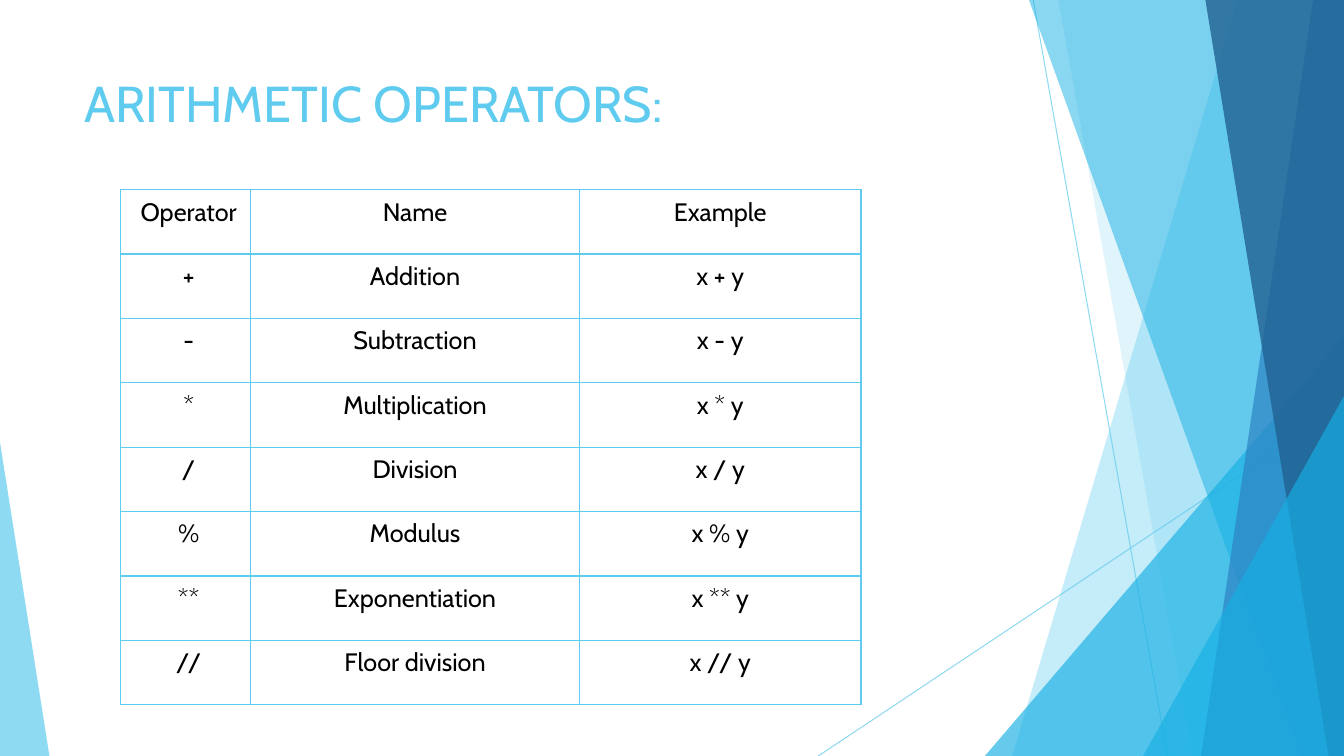
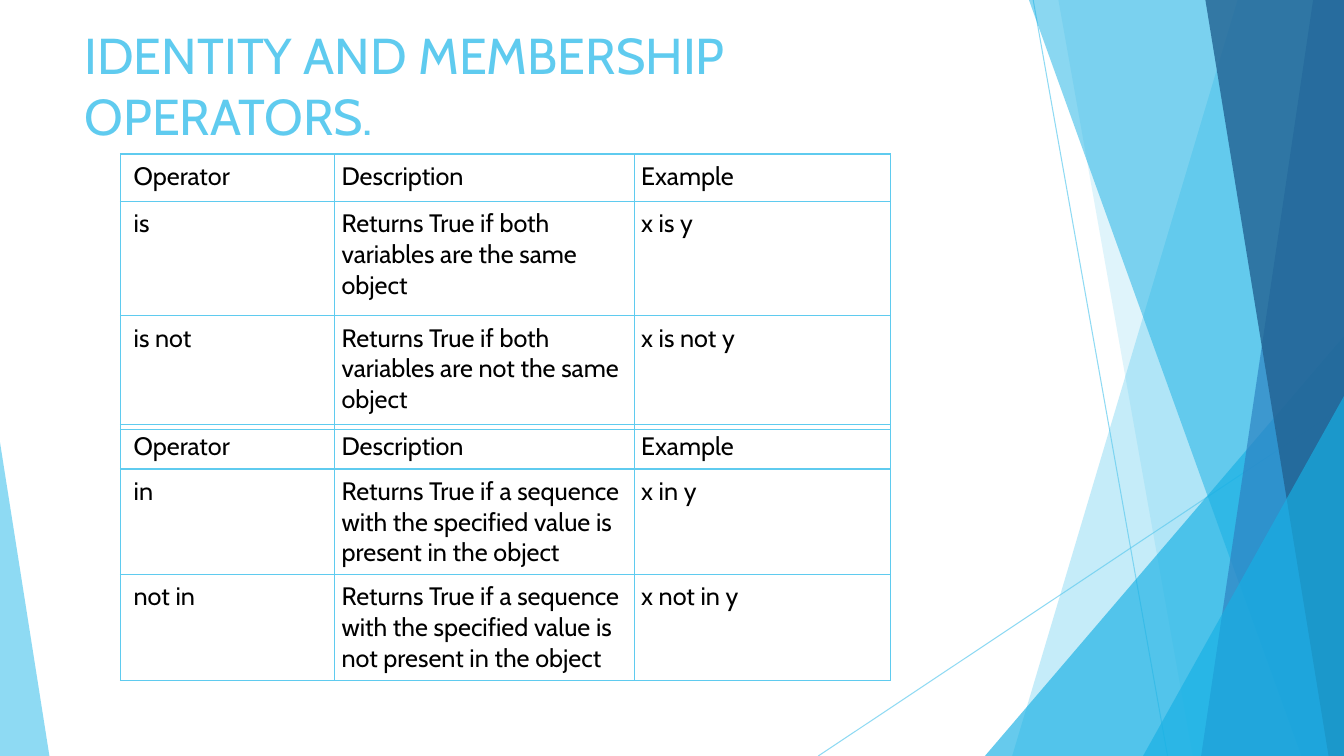
from dataclasses import dataclass

from lxml.etree import SubElement
from pptx import Presentation
from pptx.dml.color import RGBColor
from pptx.enum.shapes import MSO_CONNECTOR, MSO_SHAPE
from pptx.enum.text import MSO_ANCHOR, PP_ALIGN
from pptx.oxml import parse_xml
from pptx.oxml.ns import nsdecls, qn
from pptx.util import Pt


@dataclass(frozen=True)
class Theme:
    sky: str = "5FCBEF"
    azure: str = "17B0E4"
    blue: str = "2E83C3"
    navy: str = "226292"
    ink: str = "000000"
    font: str = "Cabin"
    title_size: int = 36
    cell_size: int = 18
    border: float = 1
    hairline: float = 0.75


THEME = Theme()
WIDTH, HEIGHT = 960, 540
TITLE_LEFT, TITLE_WIDTH = 53.3, 677
TABLE_LEFT = 86
CELL_MARGIN, FIRST_COLUMN_MARGIN = 5, 9.5

# Backdrop, back to front. Each band runs from (top x, bottom x) to the right edge;
# each triangle is (left, top, width, apex position); both end at the slide bottom.
RAYS = [((738, 0), (834, HEIGHT)), ((WIDTH, 290), (584.5, HEIGHT))]
FACETS = [
    ("band", (884, 723), THEME.sky, 36),
    ("band", (756, 852), THEME.sky, 20),
    ("triangle", (703.5, 240, 256.5, 1), THEME.azure, 66),
    ("band", (735, 929.5), THEME.azure, 50),
    ("band", (938, 858), THEME.blue, 70),
    ("band", (861, 949), THEME.navy, 80),
    ("triangle", (816.5, 283, 143.5, 1), THEME.azure, 66),
    ("triangle", (0, 316, 35.3, 0), THEME.sky, 70),
]

ARITHMETIC = [
    ("Operator", "Name", "Example"),
    ("+", "Addition", "x + y"),
    ("-", "Subtraction", "x - y"),
    ("*", "Multiplication", "x * y"),
    ("/", "Division", "x / y"),
    ("%", "Modulus", "x % y"),
    ("**", "Exponentiation", "x ** y"),
    ("//", "Floor division", "x // y"),
]
HEADINGS = ("Operator", "Description", "Example")
IDENTITY = [
    HEADINGS,
    ("is", "Returns True if both variables are the same object", "x is y"),
    ("is not", "Returns True if both variables are not the same object", "x is not y"),
]
MEMBERSHIP = [
    HEADINGS,
    ("in", "Returns True if a sequence with the specified value is present in the object",
     "x in y"),
    ("not in", "Returns True if a sequence with the specified value is not present in the object",
     "x not in y"),
]

SLIDES = [
    {
        "title": "ARITHMETIC OPERATORS:", "title_top": 48, "title_height": 104,
        "columns": (93, 235, 201), "align": PP_ALIGN.CENTER,
        "tables": [{"top": 135.5, "header": 46, "row": 46, "cells": ARITHMETIC}],
    },
    {
        "title": "IDENTITY AND MEMBERSHIP OPERATORS.", "title_top": 13.7, "title_height": 76,
        "columns": (153, 214, 183), "align": PP_ALIGN.LEFT,
        "tables": [
            {"top": 110, "header": 34, "row": 81.5, "cells": IDENTITY},
            {"top": 303, "header": 32, "row": 75.5, "cells": MEMBERSHIP},
        ],
    },
]


def style_text(paragraph, size, color, align=PP_ALIGN.LEFT):
    paragraph.alignment = align
    for run in paragraph.runs:
        run.font.name = THEME.font
        run.font.size = Pt(size)
        run.font.bold = False
        run.font.color.rgb = RGBColor.from_string(color)


def set_opacity(shape, percent):
    for color in shape.element.spPr.iter(qn("a:srgbClr")):
        SubElement(color, qn("a:alpha")).set("val", str(percent * 1000))


def add_ray(shapes, start, end):
    ray = shapes.add_connector(MSO_CONNECTOR.STRAIGHT, *map(Pt, start + end))
    ray.line.color.rgb = RGBColor.from_string(THEME.sky)
    ray.line.width = Pt(THEME.hairline)
    set_opacity(ray, 70)
    SubElement(ray.element.spPr, qn("a:effectLst"))
    return ray


def add_facet(shapes, kind, geometry, color, opacity):
    if kind == "band":
        top_x, bottom_x = geometry
        outline = shapes.build_freeform(Pt(top_x), 0)
        corners = [(WIDTH, 0), (WIDTH, HEIGHT), (bottom_x, HEIGHT)]
        outline.add_line_segments([(Pt(x), Pt(y)) for x, y in corners], close=True)
        facet = outline.convert_to_shape()
    else:
        left, top, width, apex = geometry
        facet = shapes.add_shape(MSO_SHAPE.ISOSCELES_TRIANGLE, Pt(left), Pt(top),
                                 Pt(width), Pt(HEIGHT - top))
        facet.adjustments[0] = apex
    facet.shadow.inherit = False
    facet.fill.solid()
    facet.fill.fore_color.rgb = RGBColor.from_string(color)
    set_opacity(facet, opacity)
    facet.line.fill.background()
    return facet


def move_backdrop_to_layout(slide, layout):
    """Draw the backdrop with the slide's shape tools, then hand it to the shared layout."""
    parts = [add_ray(slide.shapes, *ray) for ray in RAYS]
    parts += [add_facet(slide.shapes, *facet) for facet in FACETS]
    for part in parts:
        layout.shapes.element.append(part.element)


def add_title(slide, text, top, height):
    box = slide.shapes.add_textbox(Pt(TITLE_LEFT), Pt(top), Pt(TITLE_WIDTH), Pt(height))
    frame = box.text_frame
    frame.word_wrap = True
    frame.vertical_anchor = MSO_ANCHOR.TOP
    frame.text = text
    style_text(frame.paragraphs[0], THEME.title_size, THEME.sky)


def add_borders(table_frame):
    for properties in table_frame.element.iter(qn("a:tcPr")):
        for position, side in enumerate(("lnL", "lnR", "lnT", "lnB")):
            properties.insert(position, parse_xml(
                f'<a:{side} {nsdecls("a")} w="{Pt(THEME.border)}"><a:solidFill>'
                f'<a:srgbClr val="{THEME.sky}"/></a:solidFill></a:{side}>'))


def add_operator_table(slide, columns, align, top, header, row, cells):
    heights = [header] + [row] * (len(cells) - 1)
    frame = slide.shapes.add_table(len(cells), len(columns), Pt(TABLE_LEFT), Pt(top),
                                   Pt(sum(columns)), Pt(sum(heights)))
    table = frame.table
    table.first_row = table.horz_banding = False
    for column, width in zip(table.columns, columns):
        column.width = Pt(width)
    for r, (texts, height) in enumerate(zip(cells, heights)):
        table.rows[r].height = Pt(height)
        for c, text in enumerate(texts):
            cell = table.cell(r, c)
            cell.margin_left = Pt(CELL_MARGIN if c else FIRST_COLUMN_MARGIN)
            cell.margin_right = cell.margin_top = cell.margin_bottom = Pt(CELL_MARGIN)
            cell.fill.background()
            cell.text_frame.text = text
            style_text(cell.text_frame.paragraphs[0], THEME.cell_size, THEME.ink, align)
    add_borders(frame)


def main():
    deck = Presentation()
    deck.slide_width, deck.slide_height = Pt(WIDTH), Pt(HEIGHT)
    blank = deck.slide_layouts[6]
    for number, content in enumerate(SLIDES):
        slide = deck.slides.add_slide(blank)
        if number == 0:
            move_backdrop_to_layout(slide, blank)
        add_title(slide, content["title"], content["title_top"], content["title_height"])
        for table in content["tables"]:
            add_operator_table(slide, content["columns"], content["align"], **table)
    deck.save("out.pptx")


if __name__ == "__main__":
    main()
